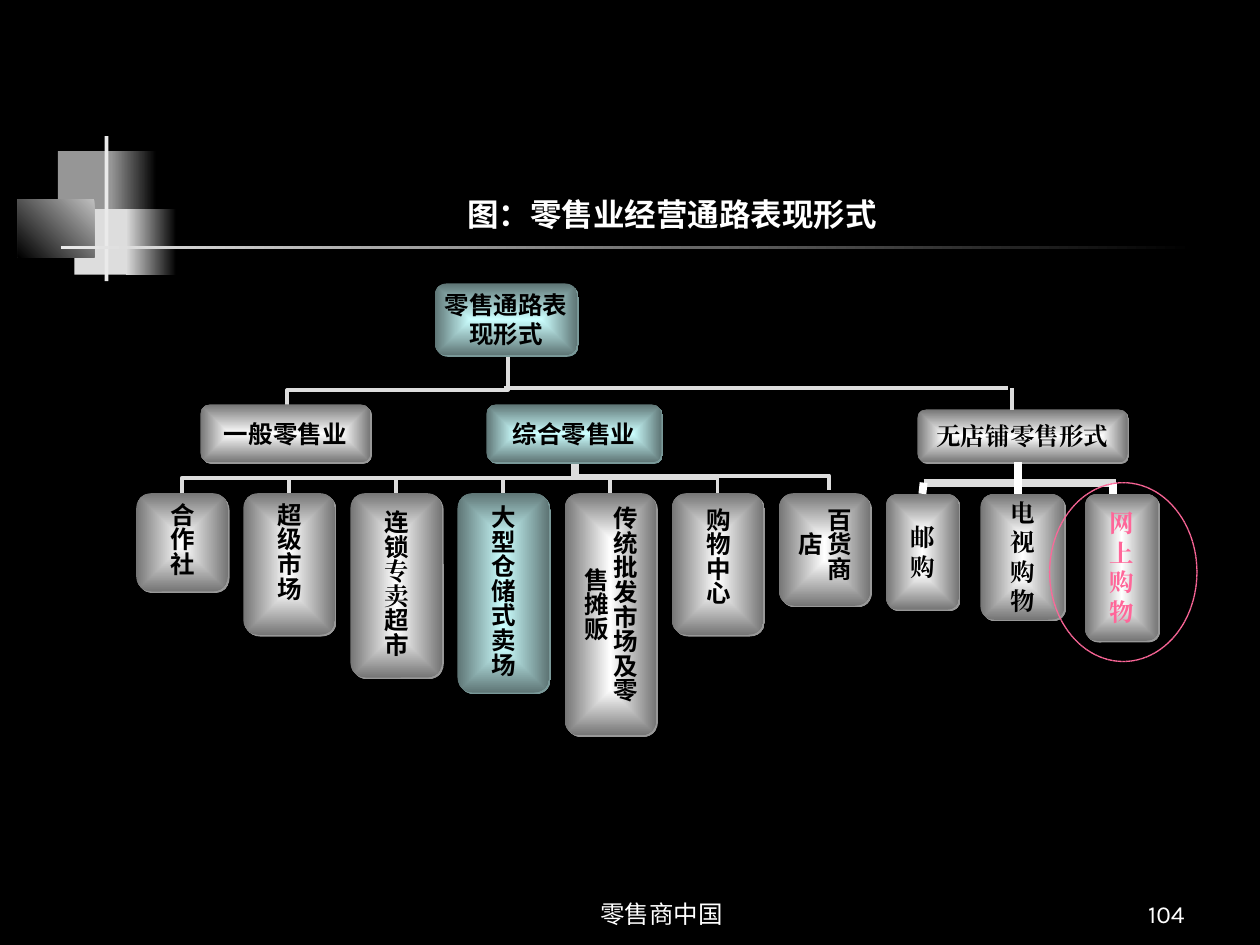
"""Build the slide that shows the forms of retail channels as a tree."""
from lxml.etree import SubElement
from pptx import Presentation
from pptx.dml.color import RGBColor
from pptx.enum.dml import MSO_LINE as Dash
from pptx.enum.shapes import MSO_CONNECTOR as Link, MSO_SHAPE as Kind
from pptx.enum.text import MSO_ANCHOR as Anchor, PP_ALIGN as Align
from pptx.oxml.ns import qn
from pptx.util import Pt

SANS, TIMES, KARLA = "Noto Sans CJK SC", "Times New Roman", "Karla"
TC = "Noto Sans CJK TC"
WHITE, BLACK, PALE, PINK = "FFFFFF", "000000", "DDDDDD", "FF6699"
GREY = ("FFFFFF", "757575", "989898")
TEAL = ("CCFFFF", "5E7575", "799898")

TITLE = "图：零售业经营通路表现形式"
DECOR = [
    ((33.1, 86.4, 34.6, 37.4), "969696", None, 0),
    ((63.4, 86.4, 25.9, 37.4), BLACK, "969696", 180),
    ((42.5, 119.5, 33.1, 37.4), PALE, None, 0),
    ((72, 119.5, 28.8, 37.4), BLACK, PALE, 180),
    ((10.1, 113.8, 43.9, 33.1), "C0C0C0", BLACK, 135),
    ((59.8, 77.8, 2.2, 82.8), "EAEAEA", None, 0),
    ((34.6, 140.4, 648, 2.2), BLACK, "EAEAEA", 180),
]
HEADS = [
    ("零售通路表现形式", (248.4, 162, 81.4, 41), TEAL),
    ("一般零售业", (114.5, 231.1, 97.2, 33.1), GREY),
    ("综合零售业", (277.9, 231.1, 100.1, 33.1), TEAL),
]
STORES = [
    ("合作社", 56.2, 3, GREY),
    ("超级市场", 81, 3, GREY),
    ((("连锁", TC), ("专卖", TIMES), ("超市", TC)), 105.4, 3.6, GREY),
    ("大型仓储式卖场", 114, 4.3, TEAL),
    ("传统批发市场及零售摊贩", 138.5, 5, GREY),
    ("购物中心", 81, 5.8, GREY),
    ("百货商店", 64.4, 5.8, GREY),
]
REMOTE = [
    ("邮购", 506.2, 41.8, 66.2, BLACK),
    ("电视购物", 560.2, 48.2, 72, BLACK),
    ("网上购物", 619.9, 42.2, 84, PINK),
]
LINES = [
    ((288, 221.8, 576, 221.8), PALE, 2.25),
    ((578.2, 221.8, 578.2, 234), PALE, 2.25),
    ((527.8, 275.8, 637.9, 275.8), PALE, 4.5),
    ((581.8, 264.2, 581.8, 275.8), WHITE, 4.5),
]
DROPS = [527.8, 581.8, 635.8]
FOOT = [("零售商中国", (264, 498, 228, 36), Align.CENTER),
        ("104", (534, 498, 150, 36), Align.RIGHT)]


def rgb(code):
    return RGBColor.from_string(code)


def pts(nums):
    return [Pt(n) for n in nums]


def face(font, name):
    font.name = name
    SubElement(font._rPr, qn("a:ea"), typeface=name)


def write(shape, lines, name=SANS, size=14, color=BLACK, bold=True,
          align=Align.CENTER, anchor=Anchor.MIDDLE, pad=(7.2, 3.6), wrap=True):
    frame = shape.text_frame
    frame.word_wrap, frame.vertical_anchor = wrap, anchor
    frame.margin_left = frame.margin_right = Pt(pad[0])
    frame.margin_top = frame.margin_bottom = Pt(pad[1])
    for i, line in enumerate(lines):
        para = frame.add_paragraph() if i else frame.paragraphs[0]
        para.alignment = align
        font = para.font
        font.size, font.bold = Pt(size), bold
        font.color.rgb = rgb(color)
        if isinstance(line, str):
            para.add_run().text = line
            face(font, name)
        else:
            for text, part in line:
                run = para.add_run()
                run.text = text
                face(run.font, part)


def blend(shape, first, last, angle=None):
    shape.fill.background()
    old = shape._element.spPr.find(qn("a:noFill"))
    grad = old.makeelement(qn("a:gradFill"), {"rotWithShape": "1"})
    stops = SubElement(grad, qn("a:gsLst"))
    for pos, code in (("0", first), ("100000", last)):
        stop = SubElement(stops, qn("a:gs"), pos=pos)
        SubElement(stop, qn("a:srgbClr"), val=code)
    if angle is None:
        way = SubElement(grad, qn("a:path"), path="rect")
        SubElement(way, qn("a:fillToRect"), dict.fromkeys("ltrb", "50000"))
    else:
        SubElement(grad, qn("a:lin"), ang=str(angle * 60000), scaled="0")
    old.getparent().replace(old, grad)


def plain(slide, kind, box):
    shape = slide.shapes.add_shape(kind, *pts(box))
    shape.shadow.inherit = False
    shape.line.fill.background()
    return shape


def block(slide, box, tone):
    shape = plain(slide, Kind.ROUNDED_RECTANGLE, box)
    blend(shape, *tone[:2])
    glow = SubElement(shape._element.spPr.find(qn("a:effectLst")),
                      qn("a:outerShdw"), dist=str(Pt(1.4)), dir="2700000",
                      algn="ctr", rotWithShape="0")
    SubElement(glow, qn("a:srgbClr"), val=tone[2])
    return shape


def link(slide, ends, color=PALE, width=2.25, kind=Link.STRAIGHT):
    line = slide.shapes.add_connector(kind, *pts(ends))
    line.line.color.rgb, line.line.width = rgb(color), Pt(width)
    SubElement(line._element.spPr, qn("a:effectLst"))
    return line


def bend(slide, x1, y1, x2, y2, turn=0.5):
    midx, midy = (x1 + x2) / 2, (y1 + y2) / 2
    side = 1 if x1 < x2 else -1
    dx, dy = side * (y1 - y2) / 2, abs(x1 - x2) / 2
    line = link(slide, (midx + dx, midy + dy, midx - dx, midy - dy),
                kind=Link.ELBOW)
    props = line._element.spPr
    props.find(qn("a:xfrm")).set("rot", "5400000" if side > 0 else "16200000")
    guides = props.find(qn("a:prstGeom")).find(qn("a:avLst"))
    SubElement(guides, qn("a:gd"), name="adj1", fmla=f"val {turn * 100000:.0f}")


def main():
    deck = Presentation()
    deck.slide_width, deck.slide_height = Pt(720), Pt(540)
    slide = deck.slides.add_slide(deck.slide_layouts[5])
    slide.background.fill.solid()
    slide.background.fill.fore_color.rgb = rgb(BLACK)

    for box, first, last, angle in DECOR:
        shape = plain(slide, Kind.RECTANGLE, box)
        if last:
            blend(shape, first, last, angle)
        else:
            shape.fill.solid()
            shape.fill.fore_color.rgb = rgb(first)

    title = slide.shapes.title
    title.left, title.top, title.width, title.height = pts((246.2, 108, 275.8, 28.8))
    write(title, [TITLE], size=18, color=WHITE)

    left, top, wide, step = 77.8, 281.8, 52.4, 61.2
    for i in range(len(STORES) - 1):
        bend(slide, left + i * step + wide / 2, top, 327.6, 264.2)
    bend(slide, 473.8, 280.1, 329.8, 262.1, 0.46)
    bend(slide, 164.2, 244.1, 290.2, 203.8, 0.53)

    for text, box, tone in HEADS:
        write(block(slide, box, tone), [text], pad=(2.9, 1.4))
    for i, (text, high, pad, tone) in enumerate(STORES):
        shape = block(slide, (left + i * step, top, wide, high), tone)
        write(shape, [text], pad=(pad / 2, pad))
        shape.text_frame._txBody.bodyPr.set("vert", "eaVert")
    leaves = []
    for text, x, w, high, color in REMOTE:
        leaves.append(block(slide, (x, 282.2, w, high), GREY))
        write(leaves[-1], text, TIMES, color=color, wrap=False)
    write(block(slide, (524.2, 234, 120.2, 30.2), GREY), ["无店铺零售形式"],
          TIMES, wrap=False)

    for ends, color, width in LINES:
        link(slide, ends, color, width)
    drops = [link(slide, (x, 275.8, x, 282.2), WHITE, 4.5) for x in DROPS]
    drops[0].end_connect(leaves[0], 0)

    ring = plain(slide, Kind.DONUT, (599.8, 275.8, 84.2, 102.2))
    ring.adjustments[0] = 0
    ring.fill.solid()
    ring.fill.fore_color.rgb = rgb("C0C0C0")
    ring.line.color.rgb, ring.line.width = rgb(PINK), Pt(0.75)
    ring.line.dash_style = Dash.ROUND_DOT

    for text, box, align in FOOT:
        write(slide.shapes.add_textbox(*pts(box)), [text], KARLA, color=WHITE,
              bold=False, align=align, anchor=Anchor.BOTTOM)
    deck.save("out.pptx")


if __name__ == "__main__":
    main()
